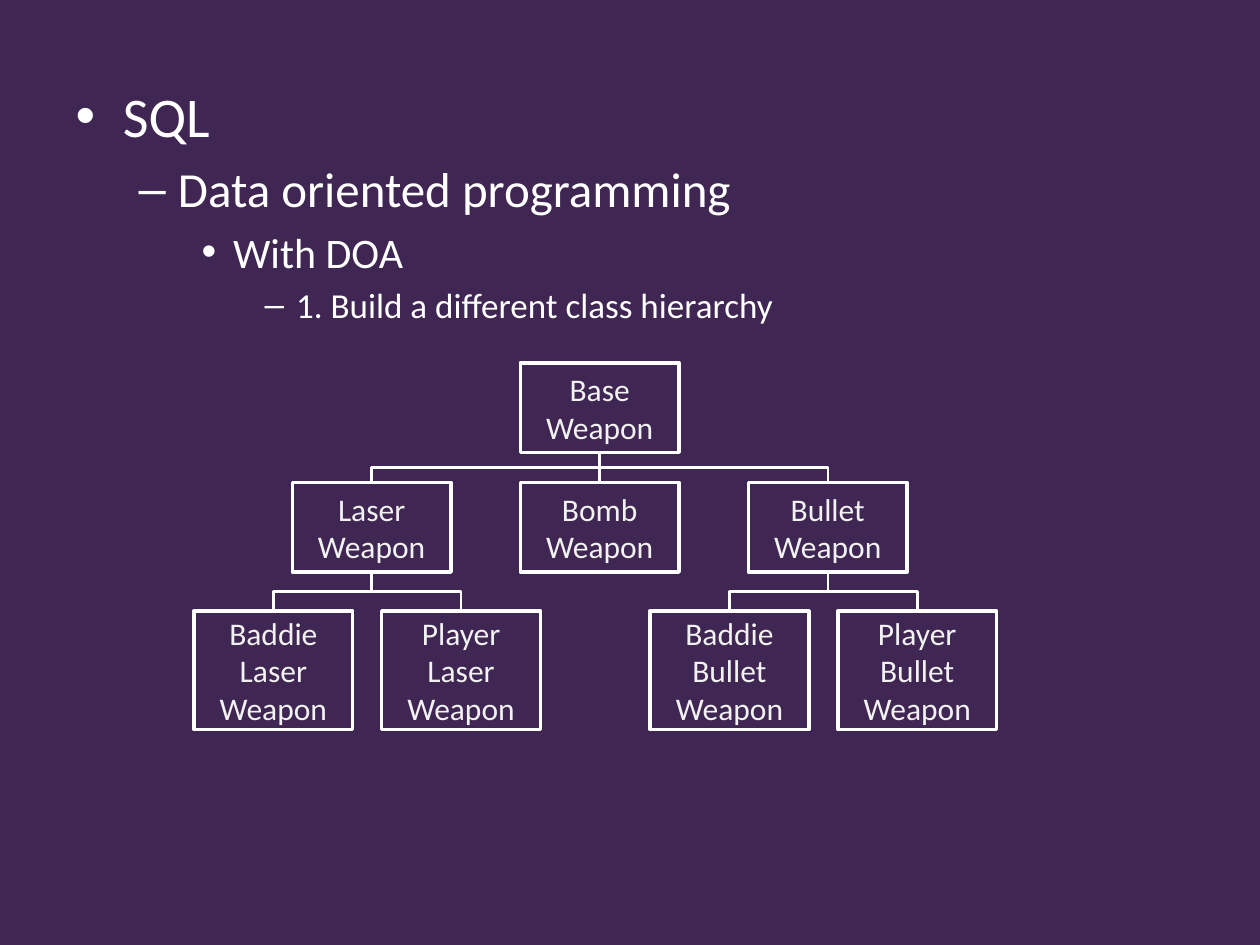
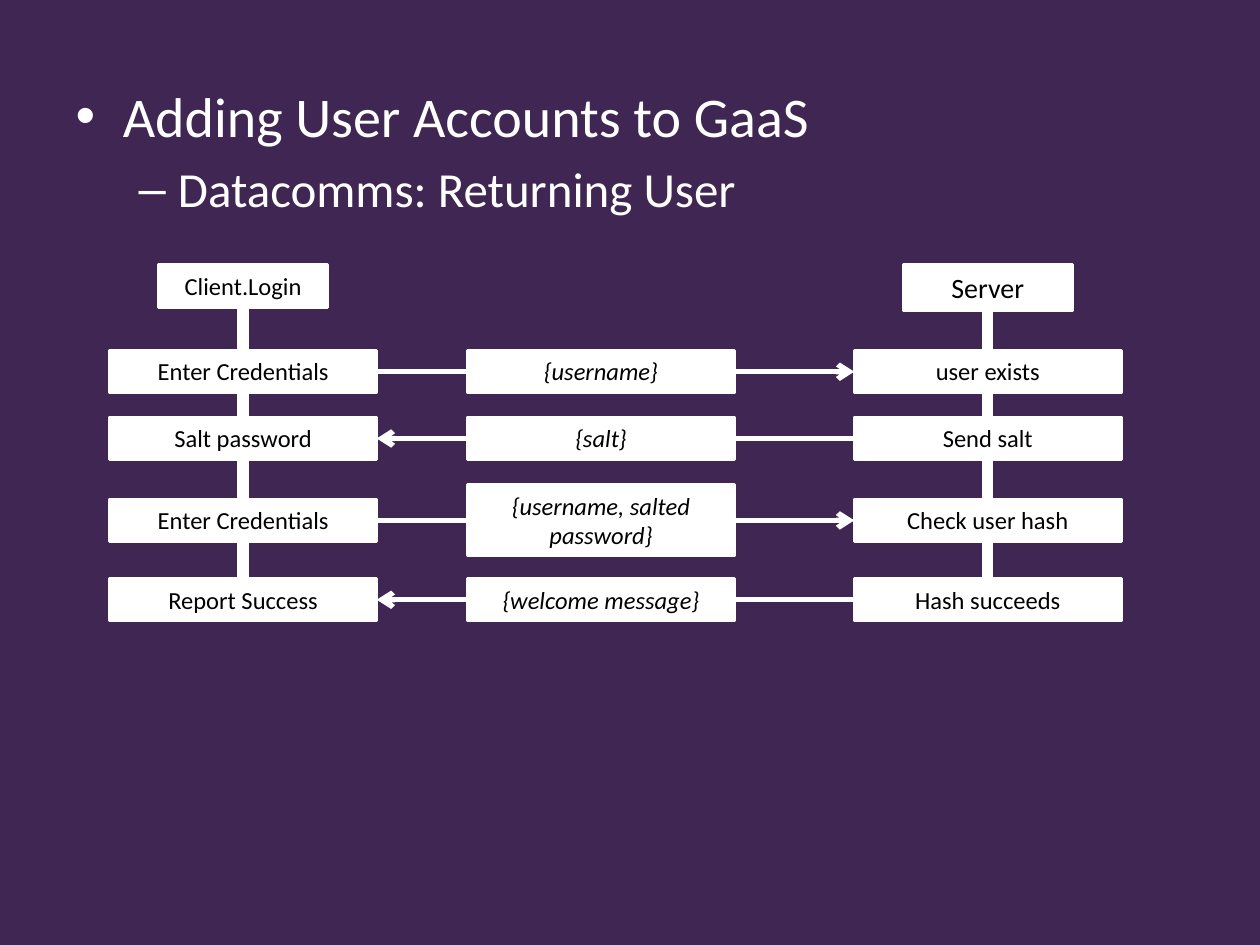
from dataclasses import dataclass

from lxml.etree import SubElement
from pptx import Presentation
from pptx.dml.color import RGBColor
from pptx.enum.shapes import MSO_CONNECTOR as Link, MSO_SHAPE as Preset
from pptx.enum.text import MSO_ANCHOR as Anchor, MSO_AUTO_SIZE as AutoSize, PP_ALIGN as Align
from pptx.oxml.ns import qn
from pptx.util import Inches, Pt

FONT = "Calibri"
PURPLE, WHITE, OFF_WHITE, BLACK = "402652", "FFFFFF", "F2F2F2", "000000"
OUTLINE_SIZES = (32, 28, 24, 20)
TOP, LEFT, BOTTOM, RIGHT = range(4)

# Class hierarchy grid: branches spread evenly around the trunk
TRUNK_X, BRANCH_PITCH = 4.76, 1.81
NODE_W, NODE_H, LEAF_H = 1.26, 0.71, 0.94
BASE_Y, BRANCH_Y, LEAF_Y = 2.88, 3.83, 4.85
LEAF_OFFSETS = {"Baddie": -0.78, "Player": 0.71}

# Login sequence grid: column centres and row heights
CLIENT_X, PAYLOAD_X, SERVER_X = 1.93, 4.77, 7.84
STEP_W, HEADER_W, LIFELINE_W = 2.12, 1.34, 0.07
STEP_H, TWO_LINE_H, HEADER_Y = 0.34, 0.57, 2.1


@dataclass(frozen=True)
class Party:
    name: str
    x: float
    header_h: float
    size: int
    lifeline_top: float
    lifeline_bottom: float


@dataclass(frozen=True)
class Exchange:
    y: float
    client: str
    payload: str
    server: str
    to_server: bool
    payload_h: float = STEP_H


PARTIES = (
    Party("Client.Login", CLIENT_X, 0.34, 14, 2.39, 4.63),
    Party("Server", SERVER_X, 0.37, 16, 2.26, 4.7),
)
EXCHANGES = (
    Exchange(2.95, "Enter Credentials", "{username}", "user exists", True),
    Exchange(3.48, "Salt password", "{salt}", "Send salt", False),
    Exchange(4.13, "Enter Credentials", "{username, salted password}",
             "Check user hash", True, TWO_LINE_H),
    Exchange(4.76, "Report Success", "{welcome message}", "Hash succeeds", False),
)


def rgb(hex_colour: str) -> RGBColor:
    return RGBColor.from_string(hex_colour)


def put_text(frame, lines, *, sizes=(14,), colour=BLACK, italic=None,
             align=None, outline=False) -> None:
    """Write one paragraph per line; an outline goes one level deeper each time."""
    for depth, line in enumerate(lines):
        paragraph = frame.add_paragraph() if depth else frame.paragraphs[0]
        if outline:
            paragraph.level = depth
        paragraph.alignment = align
        run = paragraph.add_run()
        run.text = line
        font = run.font
        font.name, font.italic = FONT, italic
        font.size = Pt(sizes[min(depth, len(sizes) - 1)])
        font.color.rgb = rgb(colour)


def add_box(slide, centre_x: float, top: float, width: float, height: float,
            *, fill: str | None = WHITE, border: float = 1.5):
    box = slide.shapes.add_shape(Preset.RECTANGLE, Inches(centre_x - width / 2),
                                 Inches(top), Inches(width), Inches(height))
    box.shadow.inherit = False
    if fill:
        box.fill.solid()
        box.fill.fore_color.rgb = rgb(fill)
    else:
        box.fill.background()
    box.line.color.rgb = rgb(WHITE)
    box.line.width = Pt(border)
    return box


def add_node(slide, label: str, centre_x: float, top: float, height: float = NODE_H):
    """Draw a class of the hierarchy, one word per line."""
    node = add_box(slide, centre_x, top, NODE_W, height, fill=None, border=2)
    node.text_frame.vertical_anchor = Anchor.MIDDLE
    put_text(node.text_frame, label.split(), sizes=(18,), colour=OFF_WHITE, align=Align.CENTER)
    return node


def add_step(slide, label: str, centre_x: float, top: float, width: float = STEP_W,
             height: float = STEP_H, *, size: int = 14, italic: bool | None = None):
    step = add_box(slide, centre_x, top, width, height)
    frame = step.text_frame
    frame.word_wrap = True
    frame.auto_size = AutoSize.SHAPE_TO_FIT_TEXT
    frame.vertical_anchor = Anchor.TOP
    put_text(frame, [label], sizes=(size,), italic=italic, align=Align.CENTER)
    return step


def join(slide, start, start_side: int, end, end_side: int, *,
         kind=Link.STRAIGHT, width: float = 1.5, arrow: bool = False):
    link = slide.shapes.add_connector(kind, 0, 0, 0, 0)
    link.begin_connect(start, start_side)
    link.end_connect(end, end_side)
    link.line.color.rgb = rgb(WHITE)
    link.line.width = Pt(width)
    if arrow:
        SubElement(link.line._get_or_add_ln(), qn("a:tailEnd"), type="arrow")
    SubElement(link._element.spPr, qn("a:effectLst"))
    return link


def join_child(slide, parent, child) -> None:
    """Link a parent's bottom to a child's top, turning halfway down."""
    start_x, end_x = (node.left + node.width // 2 for node in (parent, child))
    if start_x == end_x:
        join(slide, parent, BOTTOM, child, TOP)
        return
    link = join(slide, parent, BOTTOM, child, TOP, kind=Link.ELBOW)
    start_y, end_y = parent.top + parent.height, child.top
    drop, run = end_y - start_y, abs(end_x - start_x)
    link.left = (start_x + end_x - drop) // 2
    link.top = (start_y + end_y - run) // 2
    link.width, link.height = drop, run
    rightward = end_x > start_x
    transform = link._element.spPr.find(qn("a:xfrm"))
    transform.set("rot", str((270 if rightward else 90) * 60000))
    transform.set("flipH", str(int(rightward)))
    transform.set("flipV", "0")


def style_layout(deck):
    """Set the shared background and outline area."""
    layout = deck.slide_layouts[1]
    background = layout.slide_master.background.fill
    background.solid()
    background.fore_color.rgb = rgb(PURPLE)
    body = layout.placeholders[1]
    body.left, body.top = Inches(0.5), Inches(0.6)
    body.width, body.height = Inches(9), Inches(6.69)
    return layout


def add_outline_slide(deck, layout, *lines: str):
    slide = deck.slides.add_slide(layout)
    title = slide.shapes.title._element
    title.getparent().remove(title)
    frame = slide.placeholders[1].text_frame
    frame.auto_size = AutoSize.NONE
    put_text(frame, lines, sizes=OUTLINE_SIZES, colour=WHITE, outline=True)
    return slide


def draw_hierarchy(slide) -> None:
    base = add_node(slide, "Base Weapon", TRUNK_X, BASE_Y)
    for column, weapon in enumerate(("Laser", "Bomb", "Bullet"), start=-1):
        branch_x = TRUNK_X + column * BRANCH_PITCH
        branch = add_node(slide, f"{weapon} Weapon", branch_x, BRANCH_Y)
        join_child(slide, base, branch)
        if weapon == "Bomb":
            continue
        for owner, offset in LEAF_OFFSETS.items():
            leaf = add_node(slide, f"{owner} {weapon} Weapon", branch_x + offset, LEAF_Y, LEAF_H)
            join_child(slide, branch, leaf)


def draw_login(slide) -> None:
    for party in PARTIES:
        add_box(slide, party.x, party.lifeline_top, LIFELINE_W,
                party.lifeline_bottom - party.lifeline_top)
        add_step(slide, party.name, party.x, HEADER_Y, HEADER_W, party.header_h, size=party.size)
    for exchange in EXCHANGES:
        top = exchange.y - STEP_H / 2
        client = add_step(slide, exchange.client, CLIENT_X, top)
        server = add_step(slide, exchange.server, SERVER_X, top)
        ends = [(client, RIGHT), (server, LEFT)]
        sender, receiver = ends if exchange.to_server else reversed(ends)
        join(slide, *sender, *receiver, width=3, arrow=True)
        add_step(slide, exchange.payload, PAYLOAD_X, exchange.y - exchange.payload_h / 2,
                 height=exchange.payload_h, italic=True)


def main() -> None:
    deck = Presentation()
    deck.slide_width, deck.slide_height = Inches(10), Inches(7.5)
    layout = style_layout(deck)
    draw_hierarchy(add_outline_slide(deck, layout, "SQL", "Data oriented programming", "With DOA",
                                     "1. Build a different class hierarchy"))
    draw_login(add_outline_slide(deck, layout, "Adding User Accounts to GaaS",
                                 "Datacomms: Returning User"))
    deck.save("out.pptx")


if __name__ == "__main__":
    main()
